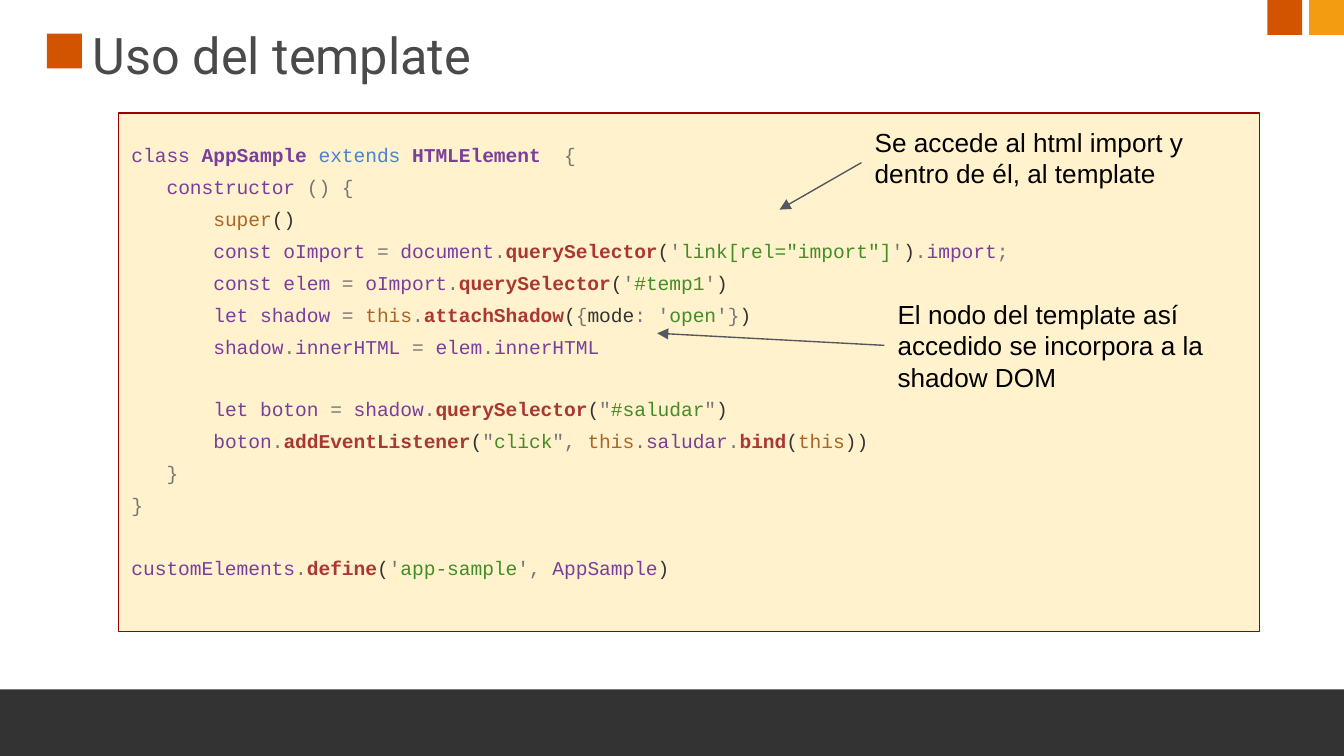
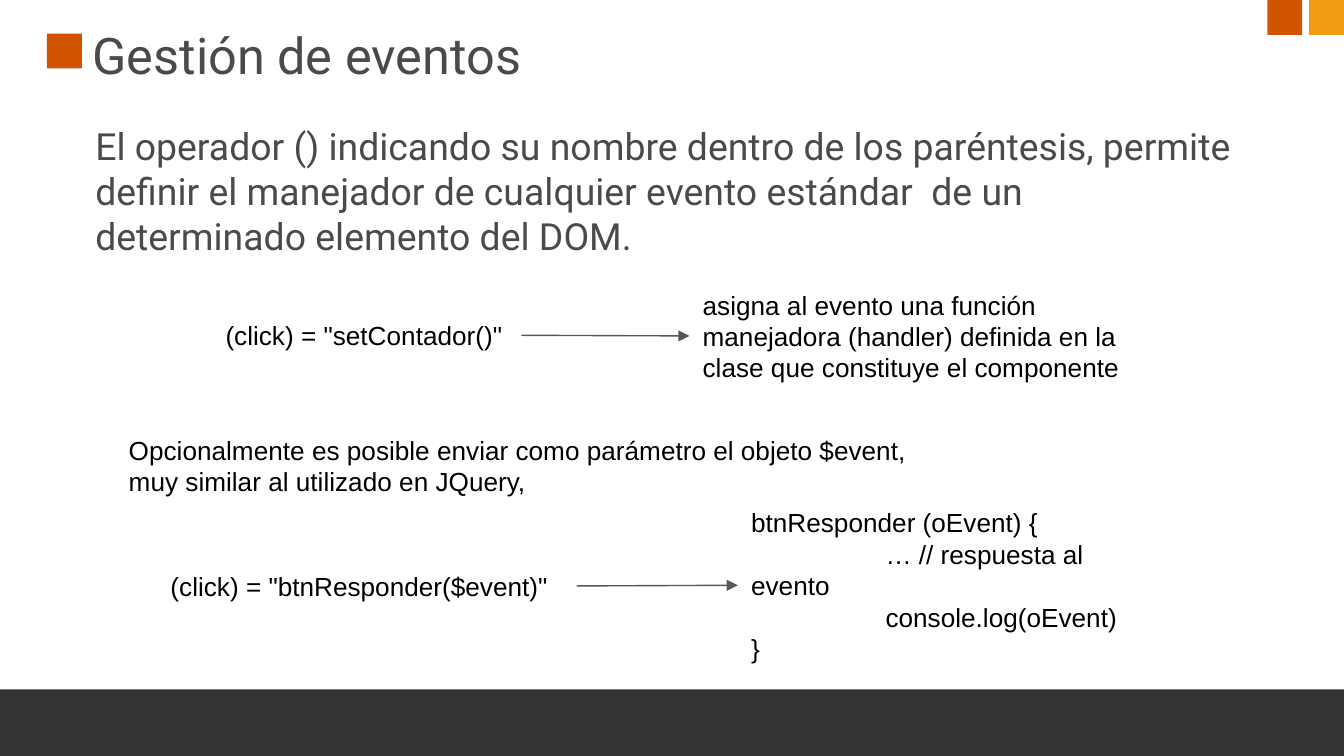
from lxml.etree import SubElement
from pptx import Presentation
from pptx.dml.color import RGBColor
from pptx.enum.shapes import MSO_CONNECTOR, MSO_SHAPE
from pptx.enum.text import MSO_ANCHOR, PP_ALIGN
from pptx.oxml.ns import qn
from pptx.util import Inches, Pt

COLORS = {
    "accent": "D35400", "accent2": "F39C12", "band": "333333", "title": "4A4A4A",
    "text": "000000", "arrow": "53585F", "code_bg": "FFF2CC", "code_line": "980000",
    "purple": "7A3E9D", "blue": "4B83CD", "gray": "777777", "dark": "333333",
    "brown": "AB6526", "red": "AA3731", "green": "448C27",
}
FORMATS = {
    "title": {"name": "Roboto", "size": Pt(27), "color": "title"},
    "body": {"name": "Roboto", "size": Pt(20), "color": "title"},
    "note": {"name": "Arial", "size": Pt(14), "color": "text"},
    "code": {"name": "Courier New", "size": Pt(10.5)},
}
# Letter after each § in CODE: colour and bold
TOKENS = {
    "v": ("purple", False), "n": ("purple", True), "e": ("blue", False),
    "p": ("gray", False), "d": ("dark", False), "k": ("brown", False),
    "f": ("red", True), "s": ("green", False),
}
CODE = """
§vclass §nAppSample §eextends §nHTMLElement  §p{
§d   §vconstructor §p() {
§d       §ksuper§d()
§d       §vconst oImport §p= §vdocument§p.§fquerySelector§d(§p'§slink[rel="import"]§p'§d)§p.§vimport§p;
§d       §vconst elem §p= §voImport§p.§fquerySelector§d(§p'§s#temp1§p'§d)
§d       §vlet shadow §p= §kthis§p.§fattachShadow§d(§p{§dmode§p: '§sopen§p'}§d)
§d       §vshadow§p.§vinnerHTML §p= §velem§p.§vinnerHTML

§d       §vlet boton §p= §vshadow§p.§fquerySelector§d(§p"§s#saludar§p"§d)
§d       §vboton§p.§faddEventListener§d(§p"§sclick§p", §kthis§p.§vsaludar§p.§fbind§d(§kthis§d))
§d   §p}
§p}

§vcustomElements§p.§fdefine§d(§p'§sapp-sample§p', §vAppSample§d)
"""
CODE_LINE = 16.5  # height in points of one line of code
INSET, TIGHT = 0.1, 0.06
TOP, MIDDLE = MSO_ANCHOR.TOP, MSO_ANCHOR.MIDDLE
LEFT_SIDE, RIGHT_SIDE = 1, 3


def rgb(name):
    return RGBColor.from_string(COLORS[name])


def style(font, color, **fmt):
    font.color.rgb = rgb(color)
    for key, value in fmt.items():
        setattr(font, key, value)


def set_frame(tf, inset, anchor):
    frame = {"word_wrap": True, "vertical_anchor": anchor}
    for side in ("left", "top", "right", "bottom"):
        frame[f"margin_{side}"] = Inches(inset)
    for key, value in frame.items():
        setattr(tf, key, value)


def add_rect(slide, box, fill, line=None):
    sp = slide.shapes.add_shape(MSO_SHAPE.RECTANGLE, *map(Inches, box))
    sp.shadow.inherit = False
    sp.fill.solid()
    sp.fill.fore_color.rgb = rgb(fill)
    if line:
        sp.line.color.rgb = rgb(line)
        sp.line.width = Pt(0.75)
    else:
        sp.line.fill.background()
    return sp


def add_tab_stop(p, position):
    tabs = SubElement(p._p.get_or_add_pPr(), qn("a:tabLst"))
    SubElement(tabs, qn("a:tab"), pos=str(Inches(position)), algn="l")


def add_text(slide, box, lines, fmt="note", anchor=MIDDLE, inset=INSET):
    sp = slide.shapes.add_textbox(*map(Inches, box))
    tf = sp.text_frame
    set_frame(tf, inset, anchor)
    for i, line in enumerate(lines):
        p = tf.add_paragraph() if i else tf.paragraphs[0]
        if "\t" in line:
            add_tab_stop(p, 1)
        r = p.add_run()
        r.text = line
        style(r.font, **FORMATS[fmt])
    return sp


def add_arrow(slide, source, side, target):
    """Arrow from a side of source to target, a shape (its left side) or a point."""
    is_point = isinstance(target, tuple)
    end = map(Inches, target) if is_point else (target.left, target.top)
    cxn = slide.shapes.add_connector(MSO_CONNECTOR.STRAIGHT, source.left, source.top, *end)
    cxn.begin_connect(source, side)
    if not is_point:
        cxn.end_connect(target, LEFT_SIDE)
    cxn.line.color.rgb = rgb("arrow")
    cxn.line.width = Pt(0.75)
    SubElement(cxn.line._get_or_add_ln(), qn("a:tailEnd"), type="triangle")
    SubElement(cxn._element.spPr, qn("a:effectLst"))


def add_code(slide, box):
    sp = add_rect(slide, box, "code_bg", "code_line")
    tf = sp.text_frame
    set_frame(tf, INSET, MIDDLE)
    tf.margin_bottom = Inches(INSET) + Pt(CODE_LINE)
    p, gap = tf.paragraphs[0], 0
    for i, line in enumerate(CODE.strip().splitlines()):
        if not line:
            gap = CODE_LINE
            continue
        p = tf.add_paragraph() if i else p
        p.alignment = PP_ALIGN.LEFT
        p.line_spacing = 1.36
        p.space_before = Pt(gap)
        gap = 0
        for token in line.split("§")[1:]:
            color, bold = TOKENS[token[0]]
            r = p.add_run()
            r.text = token[1:]
            style(r.font, color, bold=bold, **FORMATS["code"])


def add_slide(prs, title):
    """Title-only slide with the squares and the footer band."""
    slide = prs.slides.add_slide(prs.slide_layouts[5])
    for x, y, color in ((0.35, 0.25, "accent"), (9.43, 0, "accent"), (9.74, 0, "accent2")):
        add_rect(slide, (x, y, 0.26, 0.26), color)
    add_rect(slide, (-0.03, 5.13, 10.05, 0.51), "band")
    sp = slide.shapes.title
    sp.left, sp.top, sp.width, sp.height = map(Inches, (0.63, 0.12, 8.57, 0.59))
    set_frame(sp.text_frame, TIGHT, TOP)
    p = sp.text_frame.paragraphs[0]
    p.alignment = PP_ALIGN.LEFT
    r = p.add_run()
    r.text = title
    style(r.font, **FORMATS["title"])
    return slide


def template_slide(prs):
    slide = add_slide(prs, "Uso del template")
    x, y, w, h = 0.88, 0.84, 8.49, 3.86
    add_code(slide, (x, y, w, h))
    access = add_text(slide, (x + 5.53, y, 3.02, 0.74),
                      ["Se accede al html import y dentro de él, al template"], anchor=TOP)
    add_arrow(slide, access, LEFT_SIDE, (x + 4.92, y + 0.72))
    shadow = add_text(slide, (x + 5.7, y + 1.36, 2.67, 0.74),
                      ["El nodo del template así accedido se incorpora a la shadow DOM"])
    add_arrow(slide, shadow, LEFT_SIDE, (x + 4.01, y + 1.64))


def add_handler(slide, event_box, event, handler_box, handler):
    """Event binding on the left, joined by an arrow to what handles it."""
    binding = add_text(slide, event_box, [event])
    add_arrow(slide, binding, RIGHT_SIDE, add_text(slide, handler_box, handler))


def events_slide(prs):
    slide = add_slide(prs, "Gestión de eventos")
    add_text(slide, (0.65, 0.86, 8.6, 1.21), [
        "El operador () indicando su nombre dentro de los paréntesis, permite definir "
        "el manejador de cualquier evento estándar  de un determinado elemento del DOM."
    ], "body", TOP, TIGHT)
    add_handler(slide, (1.58, 2.14, 2.3, 0.71), '(click) = "setContador()"',
                (5.13, 2.07, 3.64, 0.86),
                ["asigna al evento una función manejadora (handler) definida en la "
                 "clase que constituye el componente"])
    add_text(slide, (0.86, 3.13, 6.33, 0.74), [
        "Opcionalmente es posible enviar como parámetro el objeto $event, "
        "muy similar al utilizado en JQuery,"
    ], anchor=TOP)
    add_handler(slide, (1.17, 4.13, 3.12, 0.46), '(click) = "btnResponder($event)"',
                (5.49, 3.75, 3.28, 1.21),
                ["btnResponder (oEvent) {", "\t… // respuesta al evento",
                 "\tconsole.log(oEvent)", "}"])


def main():
    prs = Presentation()
    prs.slide_width = Inches(10)
    prs.slide_height = prs.slide_width * 9 // 16
    template_slide(prs)
    events_slide(prs)
    prs.save("out.pptx")


if __name__ == "__main__":
    main()
